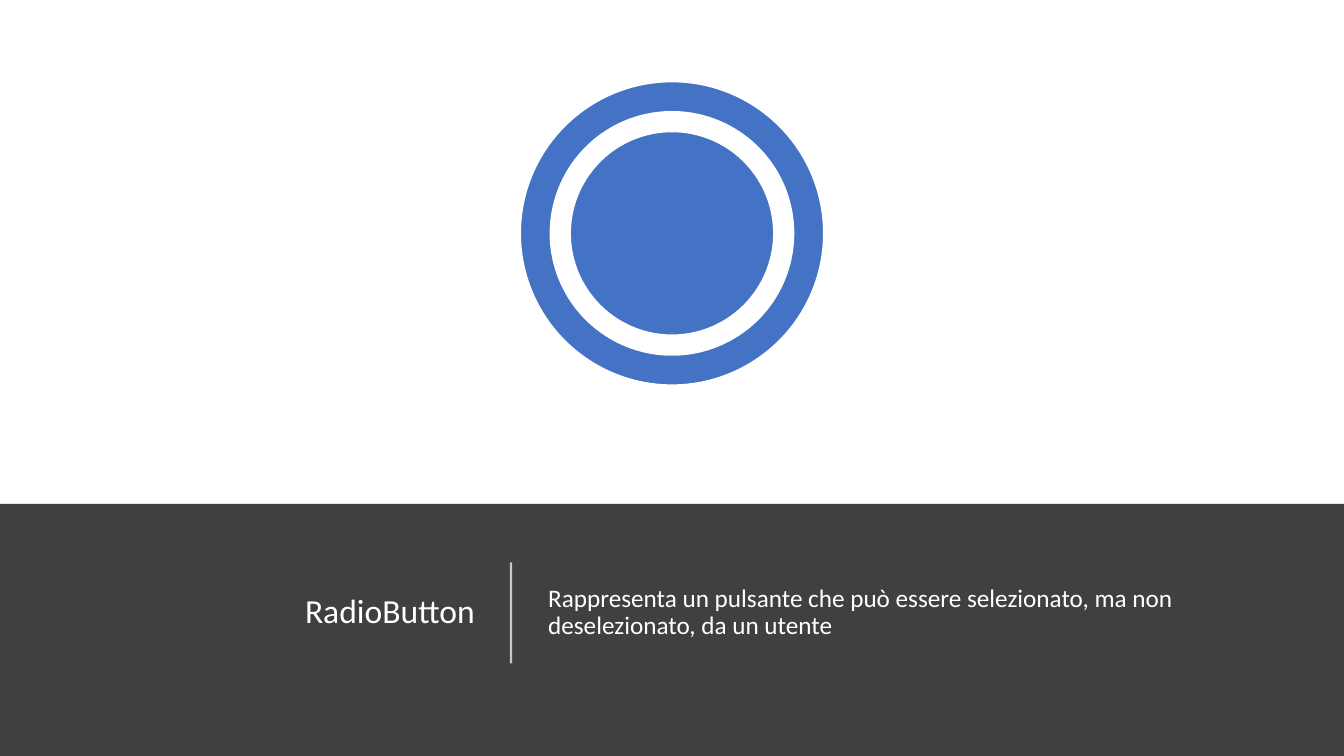
"""Build the RadioButton slide: an icon above a dark caption band."""
from dataclasses import dataclass

from lxml.etree import SubElement
from pptx import Presentation
from pptx.dml.color import RGBColor
from pptx.enum.shapes import MSO_CONNECTOR, MSO_SHAPE
from pptx.enum.text import MSO_ANCHOR, MSO_AUTO_SIZE, PP_ALIGN
from pptx.oxml.ns import qn
from pptx.util import Pt

TITLE = "RadioButton"
DESCRIPTION = ("Rappresenta un pulsante che può essere selezionato, "
               "ma non deselezionato, da un utente")

SLIDE_W, SLIDE_H = 960, 540
BAND_TOP = 360
TITLE_BOX = (49.7, 385.2, 296.6, 104.4)
TEXT_BOX = (384.5, 380.2, 525.6, 115.2)
DIVIDER_X, DIVIDER_TOP, DIVIDER_BOTTOM = 365, 401.8, 473.8
ICON_CENTER = (480, 166.7)
ICON_PARTS = [(MSO_SHAPE.OVAL, 145.4), (MSO_SHAPE.DONUT, 216.7)]
RING_RATIO = 0.099


@dataclass(frozen=True)
class Theme:
    """Colours, font and type sizes."""
    band: RGBColor = RGBColor(0x40, 0x40, 0x40)
    accent: RGBColor = RGBColor(0x44, 0x72, 0xC4)
    white: RGBColor = RGBColor(0xFF, 0xFF, 0xFF)
    font: str = "Calibri"
    title: int = 24
    body: int = 18


THEME = Theme()


def points(box):
    return [Pt(v) for v in box]


def add_filled(shapes, kind, box, color):
    sp = shapes.add_shape(kind, *points(box))
    sp.shadow.inherit = False
    sp.fill.solid()
    sp.fill.fore_color.rgb = color
    sp.line.fill.background()
    return sp


def write(sp, text, size, align, before=0):
    tf = sp.text_frame
    tf.text = text
    tf.word_wrap = True
    tf.auto_size = MSO_AUTO_SIZE.NONE
    tf.vertical_anchor = MSO_ANCHOR.MIDDLE
    tf.margin_left = tf.margin_right = Pt(7.2)
    tf.margin_top = tf.margin_bottom = Pt(3.6)
    p = tf.paragraphs[0]
    p.alignment = align
    p.line_spacing = 0.9
    p.space_before = Pt(before)
    font = p.runs[0].font
    font.name, font.size, font.color.rgb = THEME.font, Pt(size), THEME.white


def add_divider(s):
    line = s.shapes.add_connector(
        MSO_CONNECTOR.STRAIGHT,
        *points((DIVIDER_X, DIVIDER_BOTTOM, DIVIDER_X, DIVIDER_TOP)))
    line.line.width = Pt(1.5)
    line.line.color.rgb = THEME.white
    props = line._element.spPr
    color = props.find(".//" + qn("a:srgbClr"))
    SubElement(color, qn("a:alpha"), val="70000")
    SubElement(props, qn("a:effectLst"))


def add_icon(s):
    group = s.shapes.add_group_shape()
    cx, cy = ICON_CENTER
    for kind, size in ICON_PARTS:
        box = (cx - size / 2, cy - size / 2, size, size)
        sp = add_filled(group.shapes, kind, box, THEME.accent)
        sp.line.color.rgb = THEME.white
        sp.line.width = Pt(1)
        if kind == MSO_SHAPE.DONUT:
            sp.adjustments[0] = RING_RATIO


def main():
    prs = Presentation()
    prs.slide_width, prs.slide_height = Pt(SLIDE_W), Pt(SLIDE_H)
    s = prs.slides.add_slide(prs.slide_layouts[5])
    band = add_filled(s.shapes, MSO_SHAPE.RECTANGLE,
                      (0, BAND_TOP, SLIDE_W, SLIDE_H - BAND_TOP), THEME.band)
    title = s.shapes.title
    title._element.addprevious(band._element)
    title.left, title.top, title.width, title.height = points(TITLE_BOX)
    write(title, TITLE, THEME.title, PP_ALIGN.RIGHT)
    add_divider(s)
    description = s.shapes.add_textbox(*points(TEXT_BOX))
    write(description, DESCRIPTION, THEME.body, PP_ALIGN.LEFT, before=10)
    add_icon(s)
    prs.save("out.pptx")


if __name__ == "__main__":
    main()
